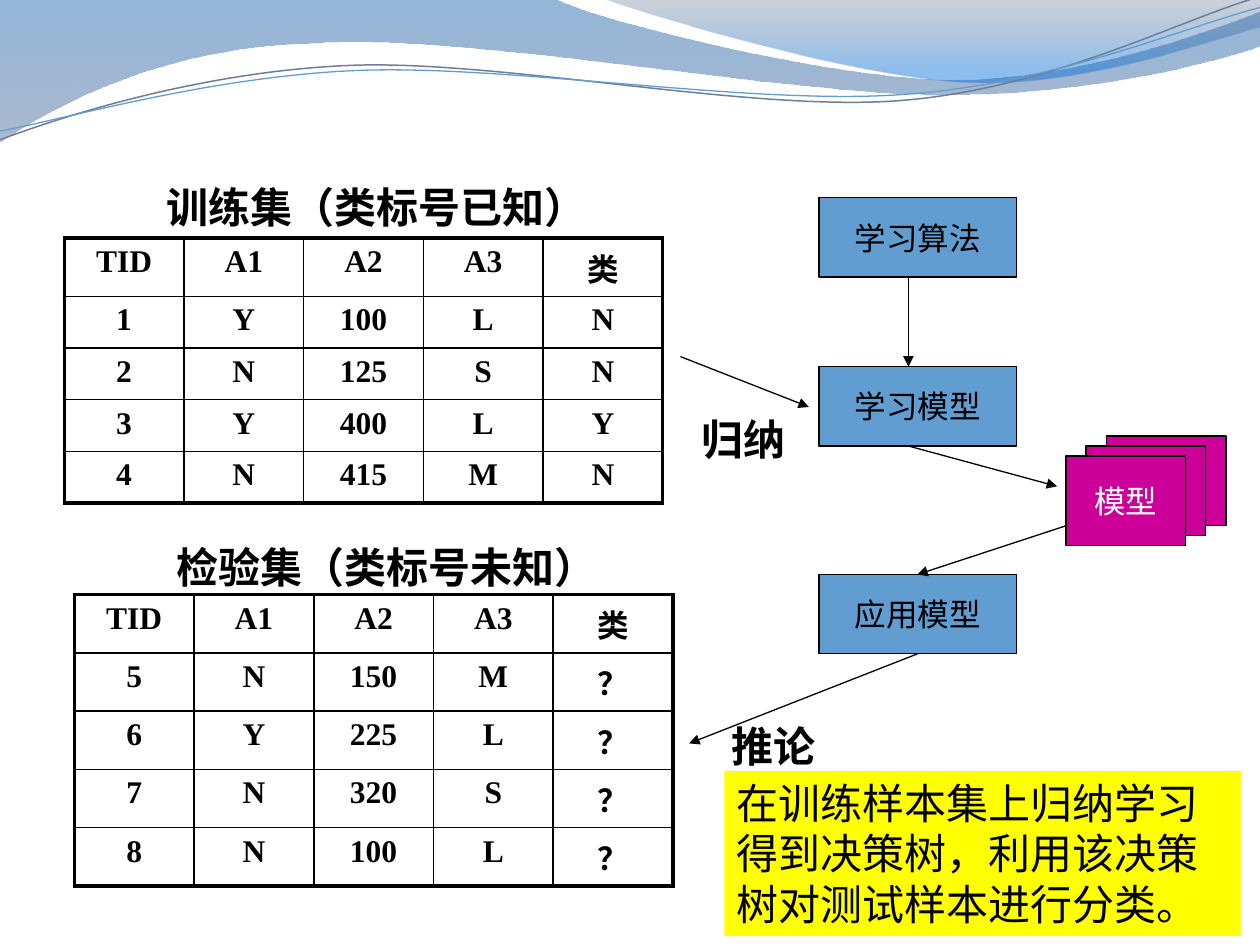
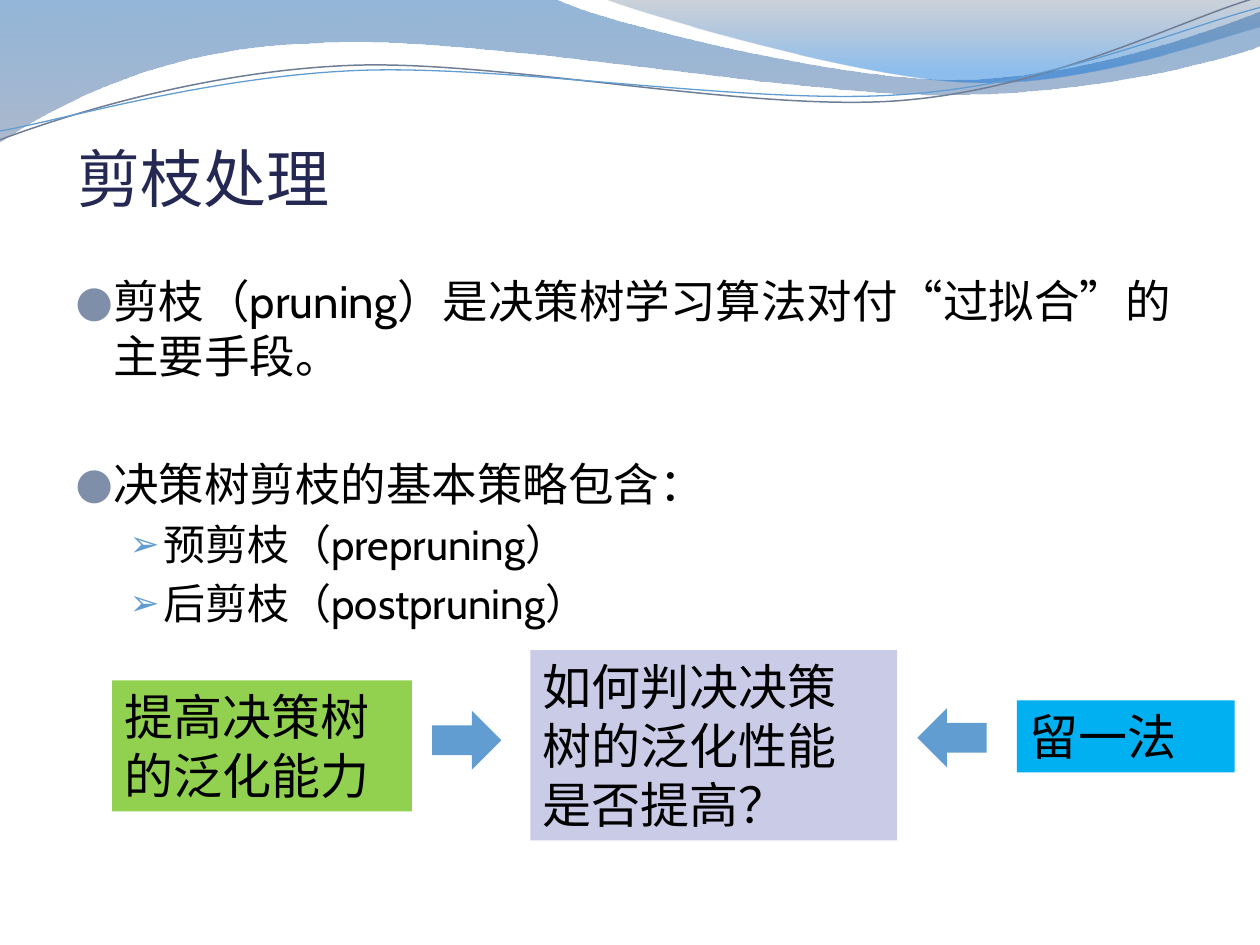
from lxml.etree import SubElement
from pptx import Presentation
from pptx.dml.color import RGBColor
from pptx.enum.shapes import MSO_CONNECTOR as Connector, MSO_SHAPE as Preset
from pptx.enum.text import MSO_ANCHOR as Anchor, PP_ALIGN as Align
from pptx.oxml.ns import qn
from pptx.util import Pt

PX = 9144
BLACK, WHITE, BLUE, MAGENTA = "000000", "FFFFFF", "629DD1", "CC0099"
NAVY, SLATE, YELLOW = "242852", "7F8FA9", "FFFF00"
GREEN, LAVENDER, CYAN = "92D050", "C9CBE7", "00B0F0"
SANS, SERIF = "Cabin", "Times New Roman"

BANDS = [
    ((0, 0), [(440, -1), (476, 17, 664, 63, 758, 63), (853, 63, 958, 26, 1000, 9),
              (1001, 36), (983, 44, 870, 76, 746, 75), (622, 75, 382, 28, 257, 34),
              (129, 36, 46, 83, -1, 113), (0, 0)],
     [(0, "125EAA", 45), (1, "697FA4", 55)]),
    ((479, -1), [(509, 11, 682, 62, 769, 65), (856, 69, 961, 32, 1000, 21), (1000, 0),
                 (479, -1)],
     [(0, "596982", 30), (0.8, "0670DA", 45)]),
]
WAVES = [
    ((0, 111), [(48, 93, 158, 57, 277, 52), (395, 47, 593, 89, 713, 80),
                (833, 71, 938, 15, 998, -2)], "707E95", 0.85),
    ((0, 104), [(47, 96, 164, 61, 283, 56), (403, 51, 597, 84, 717, 75),
                (836, 67, 941, 21, 1000, 6)], BLUE, 0.75),
]


def px(value):
    return round(value * PX)


def color(hex_code):
    return RGBColor.from_string(hex_code)


def add_child(parent, tag, **attributes):
    return SubElement(parent, qn(tag), {key: str(value) for key, value in attributes.items()})


def write(para, text, size=18, ink=BLACK, font=SANS, east_font=SANS, bold=False,
          align=Align.LEFT):
    para.alignment = align
    span = para.add_run()
    span.text = text
    span.font.size = Pt(size)
    span.font.name = font
    span.font.bold = bold
    span.font.color.rgb = color(ink)
    properties = span.font._element
    properties.set("lang", "zh-CN")
    properties.set("altLang", "en-US")
    if east_font:
        add_child(properties, "a:ea", typeface=east_font)


class Deck:
    def __init__(self):
        self.deck = Presentation()
        self.deck.slide_width, self.deck.slide_height = px(1000), px(750)
        self.page = None

    def new_page(self):
        self.page = self.deck.slides.add_slide(self.deck.slide_layouts[6])
        for start, steps, stops in BANDS:
            self.band(start, steps, stops)
        for start, steps, ink, width in WAVES:
            wave = self.outline(start, steps, False)
            wave.fill.background()
            wave.line.color.rgb = color(ink)
            wave.line.width = Pt(width)

    def outline(self, start, steps, closed):
        builder = self.page.shapes.build_freeform(*start, scale=PX)
        for step in steps:
            builder.add_line_segments(list(zip(step[::2], step[1::2])), close=False)
        shape = builder.convert_to_shape()
        shape.shadow.inherit = False
        route = next(shape._element.spPr.iter(qn("a:path")))
        segments = iter(route.findall(qn("a:lnTo")))
        for step in steps:
            group = [next(segments) for _ in step[::2]]
            if len(group) == 3:
                curve = add_child(route, "a:cubicBezTo")
                group[0].addprevious(curve)
                for segment in group:
                    curve.append(segment[0])
                    route.remove(segment)
        if closed:
            add_child(route, "a:close")
        return shape

    def band(self, start, steps, stops):
        shape = self.outline(start, steps, True)
        shape.line.fill.background()
        shape.fill.gradient()
        shape.fill.gradient_angle = 270
        for stop, (position, tint, _) in zip(shape.fill.gradient_stops, stops):
            stop.position = position
            stop.color.rgb = color(tint)
        tints = shape._element.spPr.iter(qn("a:srgbClr"))
        for tint, (_, _, opacity) in zip(tints, stops):
            add_child(tint, "a:alpha", val=opacity * 1000)

    def shape(self, left, top, width, height, fill, preset=Preset.RECTANGLE,
              edge=None, text=None, wrap=True, turn=0, **style):
        box = self.page.shapes.add_shape(preset, px(left), px(top), px(width), px(height))
        box.shadow.inherit = False
        box.rotation = turn
        box.fill.solid()
        box.fill.fore_color.rgb = color(fill)
        if edge:
            box.line.color.rgb = color(edge)
            box.line.width = Pt(0.75)
        else:
            box.line.fill.background()
        if text:
            frame = box.text_frame
            frame.word_wrap = wrap
            frame.vertical_anchor = Anchor.MIDDLE if edge else Anchor.TOP
            write(frame.paragraphs[0], text, **style)

    def step(self, left, top, width, height, text=None, fill=BLUE, ink=BLACK):
        self.shape(left, top, width, height, fill, edge=BLACK, text=text,
                   wrap=False, ink=ink, align=Align.CENTER)

    def frame(self, left, top, width, height, wrap=True):
        box = self.page.shapes.add_textbox(px(left), px(top), px(width), px(height))
        box.text_frame.word_wrap = wrap
        return box.text_frame

    def label(self, left, top, width, text):
        frame = self.frame(left, top, width, 50, wrap=False)
        write(frame.paragraphs[0], text, size=24, font=SERIF, bold=True)

    def title(self, text):
        frame = self.frame(52, 92, 898, 79)
        frame.vertical_anchor = Anchor.BOTTOM
        frame.margin_bottom = 0
        write(frame.paragraphs[0], text, size=36, ink=NAVY)

    def bullet(self, para, text, size, gap, margin, hang, mark, mark_ink, mark_size,
               pitch=None, east_font=SANS):
        para.space_before = Pt(gap)
        if pitch:
            para.line_spacing = Pt(pitch)
        write(para, text, size=size, east_font=east_font)
        properties = para._p.get_or_add_pPr()
        properties.set("marL", str(px(margin)))
        properties.set("indent", str(px(-hang)))
        add_child(add_child(properties, "a:buClr"), "a:srgbClr", val=mark_ink)
        add_child(properties, "a:buSzPct", val=mark_size * 1000)
        add_child(properties, "a:buFont", typeface=SANS)
        add_child(properties, "a:buChar", char=mark)

    def arrow(self, start, end):
        ends = [px(value) for value in (*start, *end)]
        line = self.page.shapes.add_connector(Connector.STRAIGHT, *ends)
        line.line.color.rgb = color(BLACK)
        line.line.width = Pt(0.75)
        add_child(line.line._get_or_add_ln(), "a:tailEnd", type="triangle")
        add_child(line._element.spPr, "a:effectLst")

    def table(self, left, top, rows, column=95, row_height=41):
        count, last_row, last_column = len(rows[0]), len(rows) - 1, len(rows[0]) - 1
        table = self.page.shapes.add_table(
            len(rows), count, px(left), px(top),
            px(column * count), px(row_height * len(rows))).table
        table.first_row = table.horz_banding = False
        for r, row in enumerate(rows):
            for c, text in enumerate(row):
                cell = table.cell(r, c)
                cell.fill.background()
                write(cell.text_frame.paragraphs[0], text, font=SERIF, east_font=None,
                      bold=True, align=Align.CENTER)
                self.borders(cell, L=c == 0, R=c == last_column, T=r == 0, B=r == last_row)

    def borders(self, cell, **outer_sides):
        properties = cell._tc.get_or_add_tcPr()
        for index, (side, outer) in enumerate(outer_sides.items()):
            line = add_child(properties, "a:ln" + side, w=Pt(2.25 if outer else 1))
            add_child(add_child(line, "a:solidFill"), "a:srgbClr", val=BLACK)
            properties.insert(index, line)


def learning_page(deck):
    deck.new_page()
    header = ["TID", "A1", "A2", "A3", "类"]
    deck.table(51, 189, [header, *map(str.split, (
        "1 Y 100 L N", "2 N 125 S N", "3 Y 400 L Y", "4 N 415 M N"))])
    deck.table(59, 472, [header, *map(str.split, (
        "5 N 150 M ？", "6 Y 225 L ？", "7 N 320 S ？", "8 N 100 L ？"))])
    deck.label(122, 139, 353, "训练集（类标号已知）")
    deck.label(130, 425, 353, "检验集（类标号未知）")

    for top, text in ((157, "学习算法"), (291, "学习模型"), (456, "应用模型")):
        deck.step(650, top, 157, 63, text)
    for index, text in enumerate((None, None, "模型")):
        deck.step(878 - 16 * index, 346 + 8 * index, 95, 71, text, MAGENTA, WHITE)

    for start, end in (((721, 220), (721, 291)), ((721, 354), (839, 386)),
                       ((847, 417), (728, 456)), ((540, 283), (642, 323)),
                       ((728, 519), (547, 590))):
        deck.arrow(start, end)
    deck.label(547, 323, 87, "归纳")
    deck.label(571, 567, 87, "推论")
    deck.shape(575, 612, 410, 131, YELLOW, size=24,
               text="在训练样本集上归纳学习得到决策树，利用该决策树对测试样本进行分类。")


def pruning_page(deck):
    deck.new_page()
    frame = deck.frame(50, 212, 900, 480)
    main = dict(size=26, margin=30, hang=30, mark="●", mark_ink=SLATE, mark_size=95)
    wide_quotes = dict(main, east_font=None, pitch=31.2)
    sub = dict(size=24, margin=70, hang=27, mark="➢", mark_ink=BLUE, mark_size=85)
    points = [
        ("剪枝（pruning）是决策树学习算法对付“过拟合”的主要手段。", 5.2, wide_quotes),
        ("决策树剪枝的基本策略包含：", 42, main),
        ("预剪枝（prepruning）", 4.8, sub),
        ("后剪枝（postpruning）", 4.8, sub),
    ]
    for index, (text, gap, look) in enumerate(points):
        para = frame.add_paragraph() if index else frame.paragraphs[0]
        deck.bullet(para, text, gap=gap, **look)
    deck.title("剪枝处理")

    for left, top, width, height, fill, text in (
            (89, 540, 238, 104, GREEN, "提高决策树的泛化能力"),
            (421, 516, 291, 151, LAVENDER, "如何判决决策树的泛化性能是否提高？"),
            (807, 556, 173, 57, CYAN, "留一法")):
        deck.shape(left, top, width, height, fill, text=text, size=28)
    for left, top, turn in ((343, 564, 0), (728, 562, 180)):
        deck.shape(left, top, 55, 47, BLUE, preset=Preset.RIGHT_ARROW, turn=turn)


def main():
    deck = Deck()
    learning_page(deck)
    pruning_page(deck)
    deck.deck.save("out.pptx")


if __name__ == "__main__":
    main()
